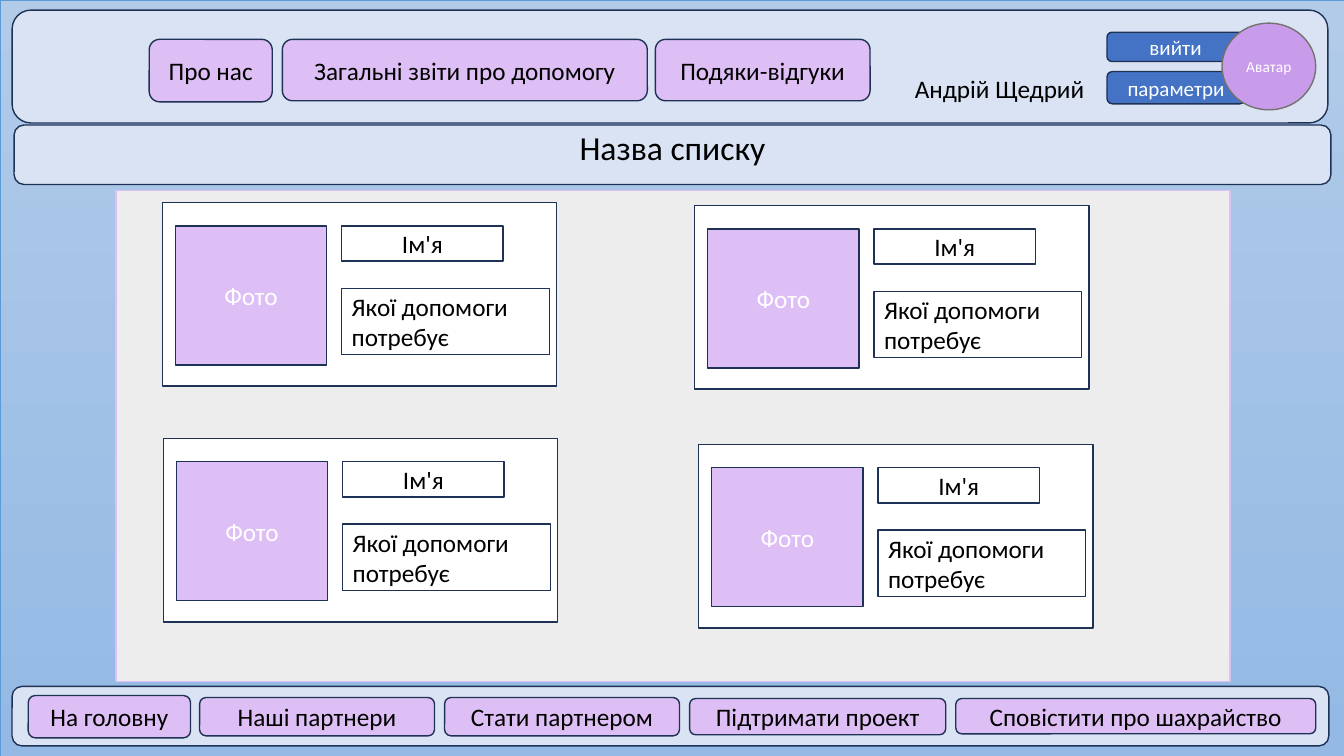
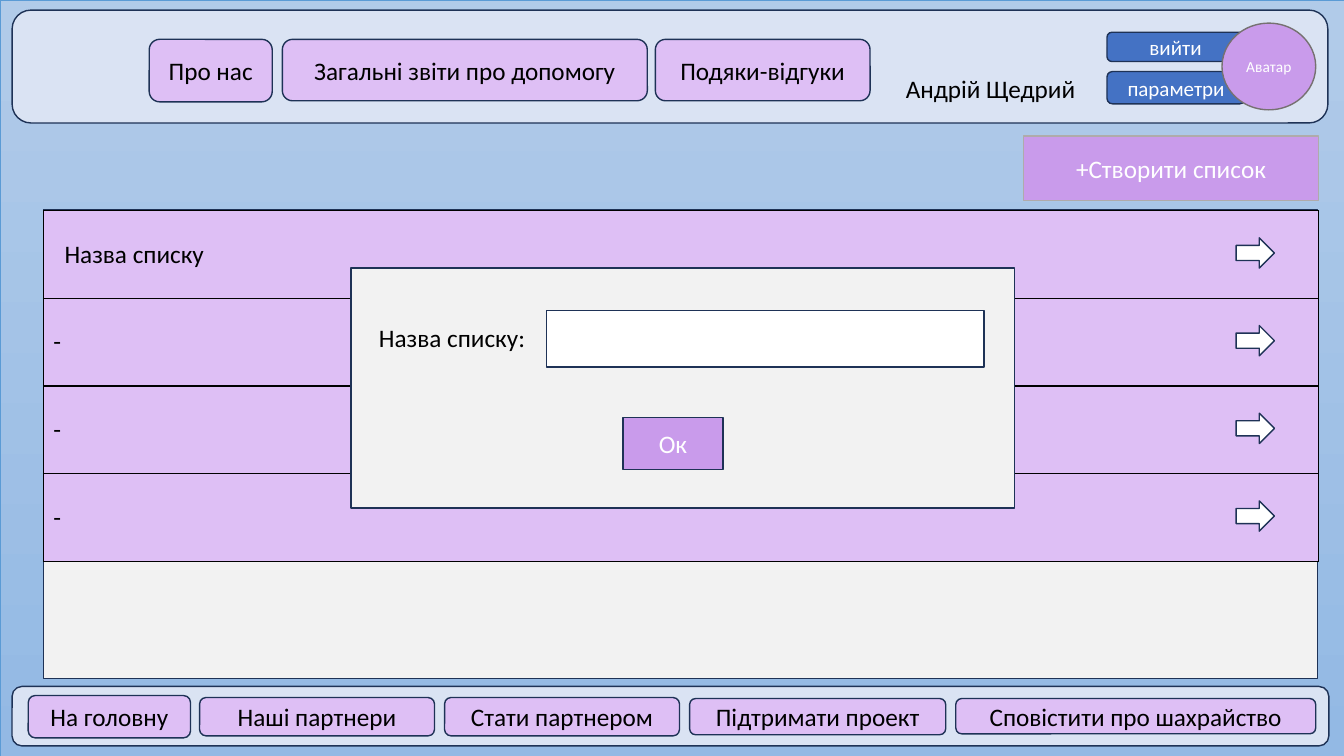
from dataclasses import dataclass

from lxml import etree
from pptx import Presentation
from pptx import util as u
from pptx.dml import color
from pptx.enum import shapes, text
from pptx.oxml import ns

RECT = shapes.MSO_SHAPE.RECTANGLE
ROUND = shapes.MSO_SHAPE.ROUNDED_RECTANGLE
CIRCLE = shapes.MSO_SHAPE.FLOWCHART_CONNECTOR
ARROW = shapes.MSO_SHAPE.RIGHT_ARROW
LEFT = text.PP_ALIGN.LEFT
CENTER = text.PP_ALIGN.CENTER


@dataclass(frozen=True)
class Theme:
    font: str = "Calibri"
    title_size: float = 24
    body_size: float = 18
    account_size: float = 15
    avatar_size: float = 11
    page: str = "FCF7EB"
    sky_top: str = "B1CBE9"
    sky_bottom: str = "93B9E4"
    sky_line: str = "5B9BD5"
    band: str = "DAE3F3"
    outline: str = "1E3256"
    lilac: str = "DEBFF5"
    violet: str = "C99BEB"
    blue: str = "4472C4"
    panel: str = "EDEDED"
    dialog: str = "F2F2F2"
    avatar_line: str = "767171"
    button_line: str = "AFABAB"
    white: str = "FFFFFF"
    black: str = "000000"


THEME = Theme()

MENU = [
    ("Про нас", (1.48, 0.39, 1.22, 0.62)),
    ("Загальні звіти про допомогу", (2.8, 0.39, 3.62, 0.61)),
    ("Подяки-відгуки", (6.5, 0.39, 2.13, 0.61)),
    ("На головну", (0.28, 6.9, 1.61, 0.42)),
    ("Наші партнери", (1.98, 6.92, 2.33, 0.38)),
    ("Стати партнером", (4.41, 6.92, 2.33, 0.38)),
    ("Підтримати проект", (6.84, 6.93, 2.54, 0.36)),
    ("Сповістити про шахрайство", (9.48, 6.93, 3.57, 0.35)),
]
CARD_CORNERS = [(1.61, 2.01), (6.89, 2.04), (1.62, 4.35), (6.93, 4.41)]


def rgb(value):
    return color.RGBColor.from_string(value)


def inches(box):
    return [u.Inches(length) for length in box]


class Page:
    """Draws elements in the shared style on the current slide."""

    def __init__(self, presentation, theme=THEME):
        self.presentation = presentation
        self.theme = theme
        self.slide = None

    def start(self, user_left):
        """Open a new slide with the sky, both bands, the menus and the account area."""
        theme = self.theme
        self.slide = self.presentation.slides.add_slide(self.presentation.slide_layouts[6])
        background = self.slide.background.fill
        background.solid()
        background.fore_color.rgb = rgb(theme.page)
        self.sky()
        self.band((0.12, 6.81, 13.06, 0.59))
        self.band((0.12, 0.1, 13.05, 1.12))
        for label, box in MENU:
            self.shape(box, theme.lilac, label, kind=ROUND)
        for label, box in (("вийти", (10.98, 0.32, 1.36, 0.29)),
                           ("параметри", (10.98, 0.71, 1.37, 0.32))):
            self.shape(box, theme.blue, label, kind=ROUND,
                       size=theme.account_size, ink=theme.white)
        self.shape((user_left, 0.71, 3.51, 0.33), None, "Андрій Щедрий",
                   kind=ROUND, line=None, align=LEFT)
        self.shape((12.12, 0.23, 0.93, 0.86), theme.violet, "Аватар", kind=CIRCLE,
                   line=theme.avatar_line, size=theme.avatar_size, ink=theme.white)

    def sky(self):
        theme = self.theme
        shape = self.shape((0, 0, 13.39, 7.5), None, line=theme.sky_line, width=0.5)
        shape.fill.gradient()
        shape.fill.gradient_angle = 270
        for stop, value in zip(shape.fill.gradient_stops, (theme.sky_top, theme.sky_bottom)):
            stop.color.rgb = rgb(value)

    def band(self, box):
        return self.shape(box, self.theme.band, kind=ROUND)

    def shape(self, box, fill, label="", kind=RECT, line=THEME.outline, width=1,
              size=THEME.body_size, ink=THEME.black, align=CENTER):
        shape = self.slide.shapes.add_shape(kind, *inches(box))
        shape.shadow.inherit = False
        if fill:
            shape.fill.solid()
            shape.fill.fore_color.rgb = rgb(fill)
        else:
            shape.fill.background()
        if line:
            shape.line.color.rgb = rgb(line)
            shape.line.width = u.Pt(width)
        else:
            shape.line.fill.background()
        if label:
            shape.text_frame.vertical_anchor = text.MSO_ANCHOR.MIDDLE
            self.add_words(shape.text_frame, label, size, ink, align)
        return shape

    def label(self, box, words, size=THEME.body_size, align=LEFT):
        frame = self.slide.shapes.add_textbox(*inches(box)).text_frame
        self.add_words(frame, words, size, self.theme.black, align)

    def add_words(self, frame, words, size, ink, align):
        frame.word_wrap = True
        paragraph = frame.paragraphs[0]
        paragraph.alignment = align
        run = paragraph.add_run()
        run.text = words
        run.font.name = self.theme.font
        run.font.size = u.Pt(size)
        run.font.color.rgb = rgb(ink)

    def card(self, left, top):
        """A person in need: photo, name and the help required."""
        theme = self.theme
        self.shape((left, top, 3.91, 1.82), theme.white)
        self.shape((left + 0.13, top + 0.23, 1.5, 1.38), theme.lilac, "Фото", ink=theme.white)
        self.shape((left + 1.78, top + 0.23, 1.6, 0.35), None, "Ім'я")
        self.shape((left + 1.78, top + 0.85, 2.06, 0.66), None,
                   "Якої допомоги потребує", align=LEFT)

    def list_table(self, left, top, width, row_height, names):
        theme = self.theme
        box = inches((left, top, width, row_height * len(names)))
        table = self.slide.shapes.add_table(len(names), 1, *box).table
        table.first_row = table.horz_banding = False
        for index, name in enumerate(names):
            table.rows[index].height = u.Inches(row_height)
            cell = table.cell(index, 0)
            cell.vertical_anchor = text.MSO_ANCHOR.MIDDLE
            cell.margin_left = u.Inches(0.1 if name == "-" else 0.21)
            self.add_words(cell.text_frame, name, theme.body_size, theme.black, LEFT)
            self.cell_borders(cell)
            cell.fill.solid()
            cell.fill.fore_color.rgb = rgb(theme.lilac)

    def cell_borders(self, cell):
        properties = cell._tc.get_or_add_tcPr()
        for side in ("a:lnL", "a:lnR", "a:lnT", "a:lnB"):
            border = etree.SubElement(properties, ns.qn(side), w=str(u.Pt(1)))
            fill = etree.SubElement(border, ns.qn("a:solidFill"))
            etree.SubElement(fill, ns.qn("a:srgbClr"), val=self.theme.black)


def people_slide(page):
    theme = page.theme
    page.start(user_left=8.96)
    page.band((0.14, 1.24, 13.06, 0.59))
    page.label((4.16, 1.21, 5.02, 0.5), "Назва списку", theme.title_size, CENTER)
    page.shape((1.15, 1.89, 11.05, 4.87), theme.panel, line=theme.lilac)
    for left, top in CARD_CORNERS:
        page.card(left, top)


def new_list_slide(page):
    theme = page.theme
    page.start(user_left=8.87)
    page.shape((0.43, 2.08, 12.64, 4.65), theme.dialog)
    names = ["Назва списку", "-", "-", "-"]
    row_height = 0.87
    page.list_table(0.43, 2.09, 12.65, row_height, names)
    for index in range(len(names)):
        page.shape((12.26, 2.36 + index * row_height, 0.38, 0.3), theme.white, kind=ARROW)
    page.shape((10.15, 1.35, 2.93, 0.64), theme.violet, "+Створити список",
               line=theme.button_line, ink=theme.white)
    page.shape((3.48, 2.66, 6.58, 2.38), theme.dialog)
    page.shape((5.42, 3.08, 4.34, 0.56), theme.white)
    page.label((3.66, 3.15, 1.69, 0.4), "Назва списку:")
    page.shape((6.18, 4.14, 0.99, 0.52), theme.violet, "Ок", ink=theme.white)


def main():
    presentation = Presentation()
    presentation.slide_width = u.Inches(13.33)
    presentation.slide_height = u.Inches(7.5)
    page = Page(presentation)
    people_slide(page)
    new_list_slide(page)
    presentation.save("out.pptx")


if __name__ == "__main__":
    main()
